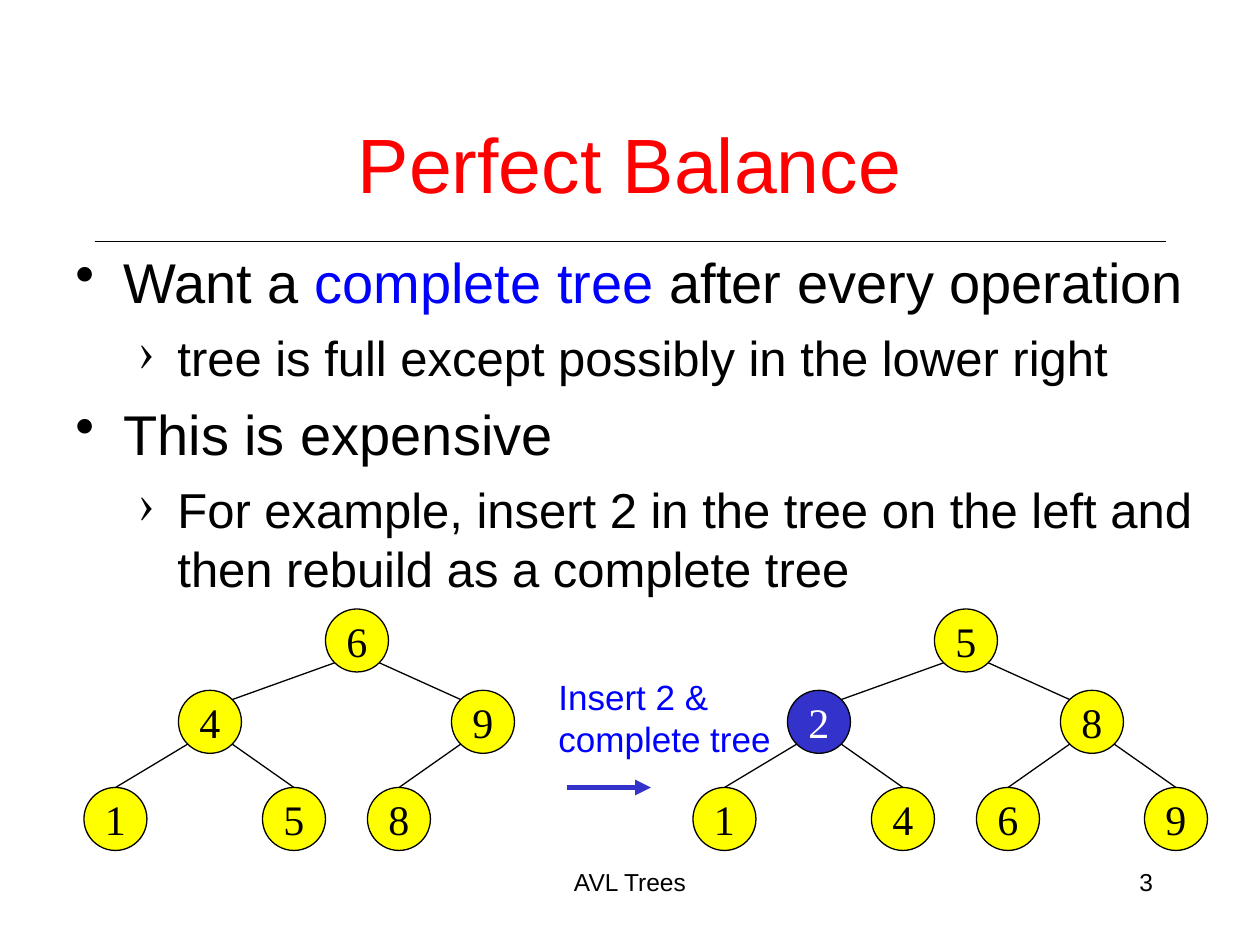
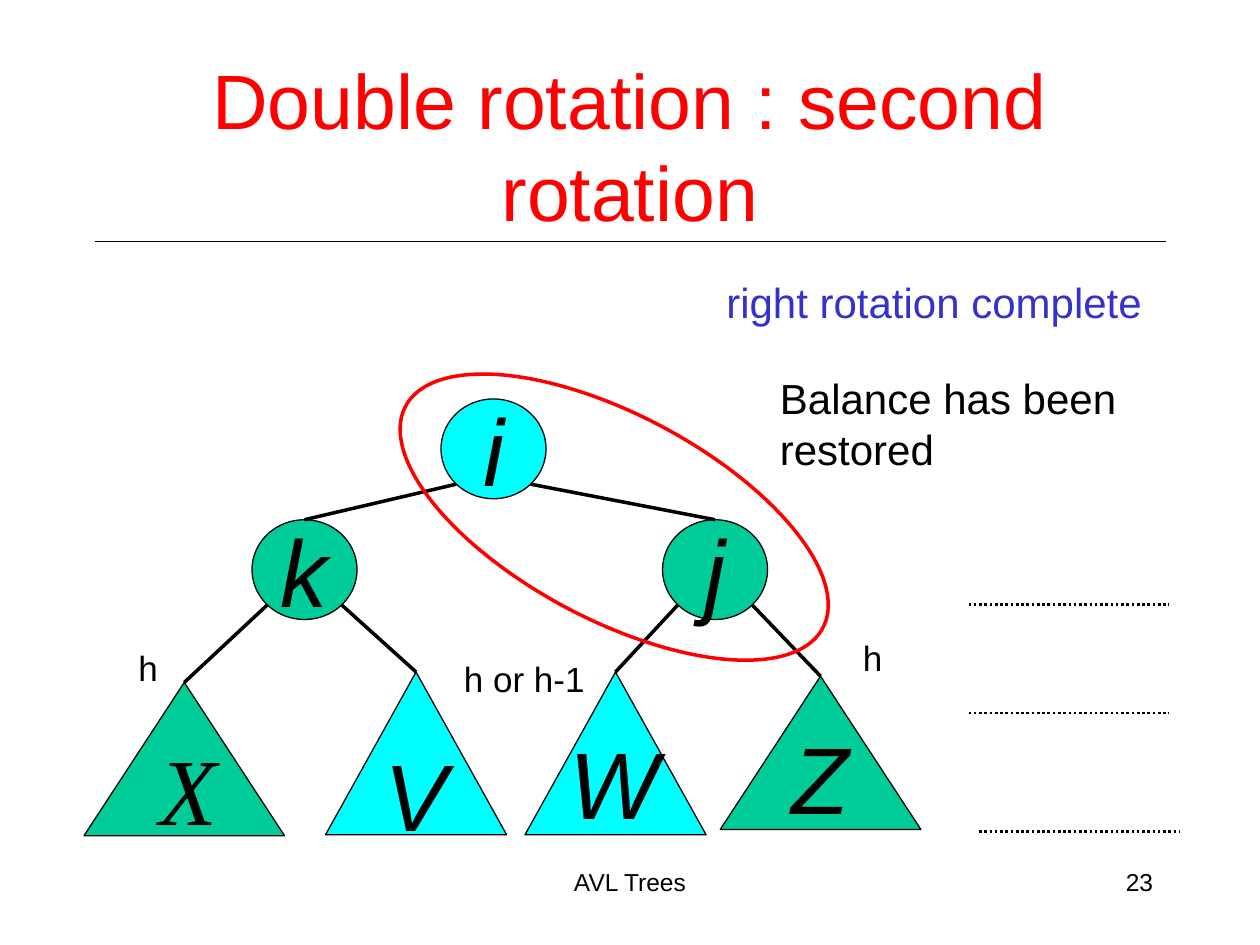
import pptx
import pptx.dml.color
import pptx.enum.dml
import pptx.enum.shapes
import pptx.enum.text
import pptx.oxml.ns
import pptx.util
from lxml import etree

# Grid of 120 columns by 90 rows; every box is (column, row, columns, rows)
COLUMNS, ROWS = 120, 90
WIDTH, HEIGHT = pptx.util.Inches(10), pptx.util.Inches(7.5)

BLACK, WHITE, RED = "000000", "FFFFFF", "FF0000"
BLUE, INDIGO = "0000FF", "3333CC"
YELLOW, GREEN, CYAN = "FFFF00", "00CC99", "00FFFF"
SANS, SERIF = "Arial", "Times New Roman"

ALIGN = pptx.enum.text.PP_ALIGN
ANCHOR = pptx.enum.text.MSO_ANCHOR
SHAPE = pptx.enum.shapes.MSO_SHAPE
ARC_INSET = 0.146  # where a 45 degree ray meets an ellipse, as share of its box


def rgb(color):
    return pptx.dml.color.RGBColor.from_string(color)


def emu(column, row):
    return round(column * WIDTH / COLUMNS), round(row * HEIGHT / ROWS)


def within(region, box):
    return (region[0] + box[0], region[1] + box[1], *box[2:])


def add_xml(parent, tag, **attributes):
    return etree.SubElement(parent, pptx.oxml.ns.qn(tag), **attributes)


# Text
def style(paragraph, size, color=BLACK, face=SANS, italic=False, align=ALIGN.LEFT):
    paragraph.alignment = align
    font = paragraph.font
    font.size, font.name = pptx.util.Pt(size), face
    font.color.rgb = rgb(color)
    if italic:
        font.italic = True


def add_text(slide, box, lines, size, color=BLACK, anchor=ANCHOR.TOP,
             wrap=False, grow=False, **look):
    frame = slide.shapes.add_textbox(*emu(*box[:2]), *emu(*box[2:])).text_frame
    frame.word_wrap, frame.vertical_anchor = wrap, anchor
    if grow:
        frame.auto_size = pptx.enum.text.MSO_AUTO_SIZE.SHAPE_TO_FIT_TEXT
    frame.text = lines
    for paragraph in frame.paragraphs:
        style(paragraph, size, color, **look)


# Shapes and lines
def add_figure(slide, preset, box, fill, line=BLACK, weight=0.75):
    figure = slide.shapes.add_shape(preset, *emu(*box[:2]), *emu(*box[2:]))
    figure.shadow.inherit = False
    if fill:
        figure.fill.solid()
        figure.fill.fore_color.rgb = rgb(fill)
    else:
        figure.fill.background()
    figure.line.color.rgb = rgb(line)
    figure.line.width = pptx.util.Pt(weight)
    return figure


def add_node(slide, preset, box, key, fill, size, **look):
    frame = add_figure(slide, preset, box, fill).text_frame
    frame.word_wrap, frame.vertical_anchor = False, ANCHOR.MIDDLE
    frame.text = key
    style(frame.paragraphs[0], size, align=ALIGN.CENTER, **look)


def add_line(slide, start, end, weight=0.75, color=BLACK, dotted=False, arrow=False):
    connector = slide.shapes.add_connector(
        pptx.enum.shapes.MSO_CONNECTOR.STRAIGHT, *emu(*start), *emu(*end))
    connector.line.color.rgb = rgb(color)
    connector.line.width = pptx.util.Pt(weight)
    if dotted:
        connector.line.dash_style = pptx.enum.dml.MSO_LINE.ROUND_DOT
    properties = connector._element.spPr
    if arrow:
        add_xml(properties.find(pptx.oxml.ns.qn("a:ln")), "a:tailEnd", type="triangle")
    add_xml(properties, "a:effectLst")


def at_share(box, across, down):
    return box[0] + across * box[2], box[1] + down * box[3]


def add_edges(slide, boxes, weight, corner_children=()):
    """Join heap-ordered boxes; listed children are met at a corner, others on top."""
    for child, box in boxes.items():
        if child == 0:
            continue
        is_left = child % 2 == 1
        leave = ARC_INSET if is_left else 1 - ARC_INSET
        start = at_share(boxes[(child - 1) // 2], leave, 1 - ARC_INSET)
        if child in corner_children:
            end = at_share(box, 1 - leave, ARC_INSET)
        else:
            end = at_share(box, 0.5, 0)
        add_line(slide, start, end, weight)


# Frame shared by the slides
def add_framed_slide(deck, title, title_box, number):
    slide = deck.slides.add_slide(deck.slide_layouts[6])
    add_line(slide, (9, 23), (111, 23))
    add_text(slide, title_box, title, 44, RED, ANCHOR.MIDDLE, wrap=True,
             align=ALIGN.CENTER)
    add_text(slide, (41, 82, 38, 6), "AVL Trees", 14, wrap=True, align=ALIGN.CENTER)
    add_text(slide, (86, 82, 25, 6), str(number), 14, wrap=True, align=ALIGN.RIGHT)
    return slide


# Perfect balance
LEVELS = [  # bullet, text size, left margin, hanging indent, space before
    ("•", 32, 0.38, 0.38, 8),
    ("›", 28, 0.81, 0.31, 7),
]
BALANCE_POINTS = [
    (0, [("Want a ", BLACK), ("complete tree", BLUE),
         (" after every operation", BLACK)]),
    (1, [("tree is full except possibly in the lower right", BLACK)]),
    (0, [("This is expensive", BLACK)]),
    (1, [("For example, insert 2 in the tree on the left and "
          "then rebuild as a complete tree", BLACK)]),
]


def add_outline(slide, box, points):
    frame = slide.shapes.add_textbox(*emu(*box[:2]), *emu(*box[2:])).text_frame
    frame.word_wrap = True
    for index, (level, pieces) in enumerate(points):
        paragraph = frame.add_paragraph() if index else frame.paragraphs[0]
        bullet, size, margin, hanging, before = LEVELS[level]
        paragraph.level = level
        if index:
            paragraph.space_before = pptx.util.Pt(before)
        properties = paragraph._p.get_or_add_pPr()
        properties.set("marL", str(pptx.util.Inches(margin)))
        properties.set("indent", str(-pptx.util.Inches(hanging)))
        add_xml(add_xml(properties, "a:buClr"), "a:srgbClr", val=BLACK)
        add_xml(properties, "a:buChar", char=bullet)
        style(paragraph, size)
        for words, color in pieces:
            run = paragraph.add_run()
            run.text = words
            if color != BLACK:
                run.font.color.rgb = rgb(color)


def add_search_tree(slide, region, keys, inserted=None):
    places = [(23, 0), (9, 7.75), (35, 7.75), (0, 17), (17, 17), (27, 17), (43, 17)]
    boxes = {slot: within(region, (*places[slot], 6, 6))
             for slot, key in enumerate(keys) if key}
    for slot, box in boxes.items():
        is_new = keys[slot] == inserted
        add_node(slide, SHAPE.OVAL, box, str(keys[slot]), INDIGO if is_new else YELLOW,
                 24, color=WHITE if is_new else BLACK, face=SERIF)
    add_edges(slide, boxes, 0.75, corner_children=(1, 2))


def build_perfect_balance(deck):
    slide = add_framed_slide(deck, "Perfect Balance", (9, 8, 102, 15), 3)
    add_outline(slide, (6, 23, 111, 36), BALANCE_POINTS)
    add_text(slide, (52, 63.7, 22.6, 9.2), "Insert 2 &\ncomplete tree", 20, BLUE,
             grow=True)
    add_search_tree(slide, (8, 58), [6, 4, 9, 1, 5, 8, None])
    add_search_tree(slide, (66, 58), [5, 2, 8, 1, 4, 6, 9], inserted=2)
    add_line(slide, (54, 75), (62, 75), 3, INDIGO, arrow=True)


# Double rotation
def add_rotated_tree(slide, region):
    circle, wide, tall = (10, 9.5), (19.1, 14.6), (17.25, 15.5)
    oval, triangle = SHAPE.OVAL, SHAPE.ISOSCELES_TRIANGLE
    parts = [  # heap order: preset, key inside, place, size, fill
        (oval, "i", (34, 0), circle, CYAN),
        (oval, "k", (16, 11.5), circle, GREEN),
        (oval, "j", (55.1, 11.5), circle, GREEN),
        (triangle, "", (0, 27), wide, GREEN),
        (triangle, "V", (23, 26), tall, CYAN),
        (triangle, "", (42, 26), tall, CYAN),
        (triangle, "", (60.6, 26.4), wide, GREEN),
    ]
    boxes = {}
    for slot, (preset, key, place, size, fill) in enumerate(parts):
        boxes[slot] = within(region, (*place, *size))
        add_node(slide, preset, boxes[slot], key, fill, 54, italic=True)
    add_edges(slide, boxes, 2)

    # Subtree letters laid over their triangles
    for letter, place, face in [("X", (6, 31), SERIF), ("W", (45.1, 30.5), SANS),
                                ("Z", (66.2, 30), SANS)]:
        add_text(slide, within(region, (*place, 6.1, 12)), letter, 54, face=face,
                 italic=True, wrap=True, grow=True)

    # Subtree heights
    for height, place, columns in [("h", (4, 23), 4.2), ("h or h-1", (35, 24), 13.9),
                                   ("h", (73, 22), 4.3)]:
        add_text(slide, within(region, (*place, columns, 5.2)), height, 20, grow=True)

    # Rotated pair
    pair = add_figure(slide, oval, within(region, (28, 1.5, 45, 19.5)), None, RED, 2)
    pair.rotation = 28


def add_level_marks(slide, region):
    for column, row in [(0, 0), (0, 10.3), (1, 21.6)]:
        left, top = within(region, (column, row))
        add_line(slide, (left, top), (left + 19.1, top), 1.5, dotted=True)


def build_double_rotation(deck):
    slide = add_framed_slide(deck, "Double rotation : second rotation",
                             (8.75, 8.5, 102.5, 10.5), 23)
    add_rotated_tree(slide, (8, 38))
    add_level_marks(slide, (92.25, 57.6))
    add_text(slide, (68, 25.7, 42, 6), "right rotation complete", 24, INDIGO, grow=True)
    add_text(slide, (73.1, 34.9, 35.5, 10.8), "Balance has been\nrestored", 24,
             anchor=ANCHOR.MIDDLE, grow=True)


def main():
    deck = pptx.Presentation()
    deck.slide_width, deck.slide_height = WIDTH, HEIGHT
    build_perfect_balance(deck)
    build_double_rotation(deck)
    deck.save("out.pptx")


if __name__ == "__main__":
    main()
